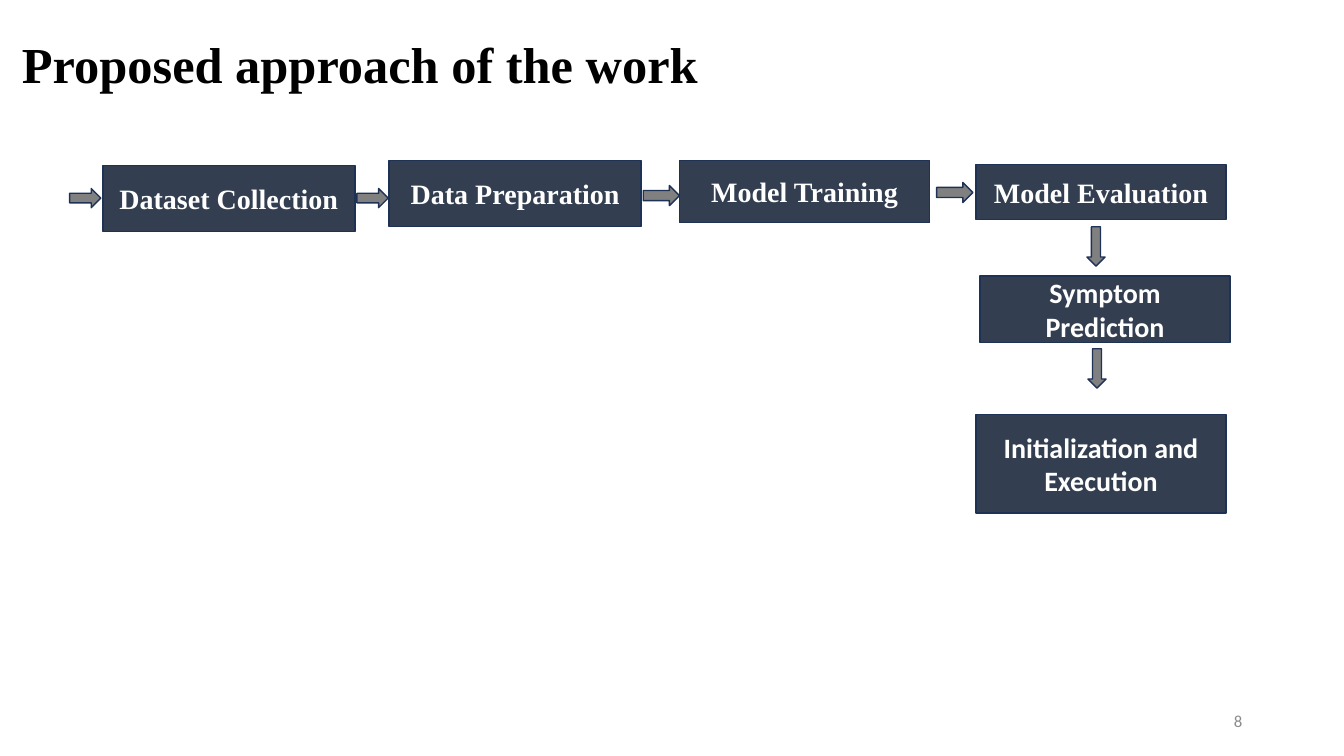
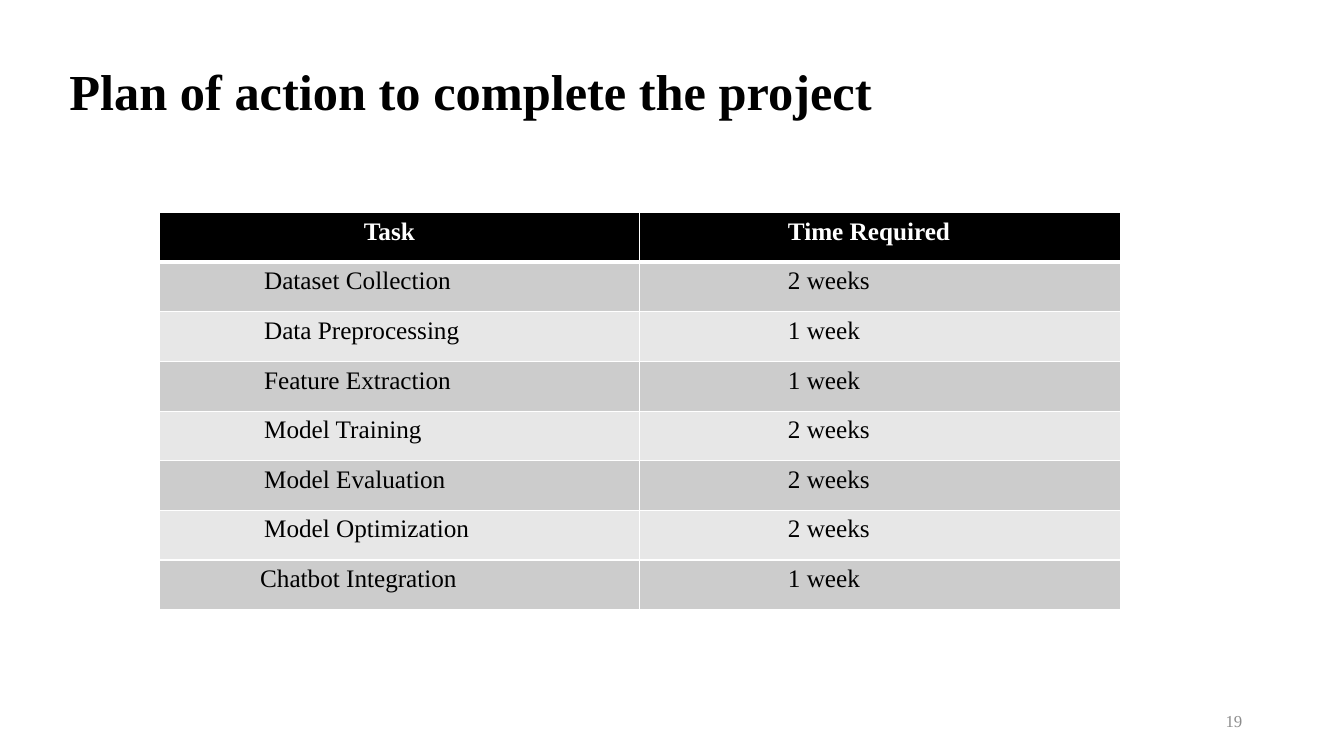
from dataclasses import dataclass

from lxml import etree
from pptx import Presentation
from pptx import util as u
from pptx.dml.color import RGBColor
from pptx.enum import shapes, text
from pptx.oxml import ns


@dataclass(frozen=True)
class Theme:
    black: RGBColor = RGBColor.from_string("000000")
    white: RGBColor = RGBColor.from_string("FFFFFF")
    box: RGBColor = RGBColor.from_string("333F50")
    outline: RGBColor = RGBColor.from_string("1E3256")
    arrow: RGBColor = RGBColor.from_string("808080")
    number: RGBColor = RGBColor.from_string("8C8C8C")
    dark_band: RGBColor = RGBColor.from_string("CCCCCC")
    light_band: RGBColor = RGBColor.from_string("E7E7E7")
    serif: str = "Times New Roman"
    sans: str = "Calibri"
    title_size: int = 36
    box_size: int = 20
    table_size: int = 18
    number_size: int = 12


theme = Theme()
PX = 9144


def write(frame, words, font, size, color, bold=False, align=text.PP_ALIGN.LEFT):
    frame.word_wrap = True
    frame.vertical_anchor = text.MSO_ANCHOR.MIDDLE
    paragraph = frame.paragraphs[0]
    paragraph.text = words
    paragraph.alignment = align
    paragraph.font.name = font
    paragraph.font.size = u.Pt(size)
    paragraph.font.bold = bold
    paragraph.font.color.rgb = color
    return paragraph


def add_block(slide, kind, bounds, fill):
    shape = slide.shapes.add_shape(kind, *(length * PX for length in bounds))
    shape.shadow.inherit = False
    shape.fill.solid()
    shape.fill.fore_color.rgb = fill
    shape.line.color.rgb = theme.outline
    shape.line.width = u.Pt(1)
    return shape


presentation = Presentation()
presentation.slide_width = 1333 * PX
presentation.slide_height = 750 * PX

pages = [
    ("Proposed approach of the work", 12, 2, "8", theme.sans),
    ("Plan of action to complete the project", 59, 28, "19", theme.serif),
]
slides = []
for title, left, top, number, number_font in pages:
    slide = presentation.slides.add_slide(presentation.slide_layouts[6])
    title_box = slide.shapes.add_textbox(left * PX, top * PX, 1150 * PX, 130 * PX)
    paragraph = write(title_box.text_frame, title, theme.serif, theme.title_size, theme.black, True)
    paragraph.line_spacing = 0.9
    number_box = slide.shapes.add_textbox(942 * PX, 695 * PX, 300 * PX, 40 * PX)
    write(number_box.text_frame, number, number_font, theme.number_size, theme.number,
          align=text.PP_ALIGN.RIGHT)
    slides.append(slide)
flow_slide, plan_slide = slides

steps = [
    ("Dataset Collection", (102, 164, 250, 66), theme.serif),
    ("Data Preparation", (386, 159, 250, 66), theme.serif),
    ("Model Training", (674, 159, 248, 62), theme.serif),
    ("Model Evaluation", (968, 163, 248, 55), theme.serif),
    ("Symptom Prediction", (972, 274, 248, 66), theme.sans),
    ("Initialization and Execution", (968, 411, 248, 98), theme.sans),
]
for words, bounds, font in steps:
    step = add_block(flow_slide, shapes.MSO_SHAPE.RECTANGLE, bounds, theme.box)
    write(step.text_frame, words, font, theme.box_size, theme.white, True, text.PP_ALIGN.CENTER)

right, down = shapes.MSO_SHAPE.RIGHT_ARROW, shapes.MSO_SHAPE.DOWN_ARROW
arrows = [
    (right, (69, 187, 31, 19)),
    (right, (354, 187, 31, 19)),
    (right, (638, 184, 36, 20)),
    (right, (929, 181, 36, 20)),
    (down, (1078, 225, 18, 39)),
    (down, (1079, 346, 18, 39)),
]
for kind, bounds in arrows:
    add_block(flow_slide, kind, bounds, theme.arrow)

plan = [
    ("Task", "Time Required"),
    ("Dataset Collection", "2 weeks"),
    ("Data Preprocessing", "1 week"),
    ("Feature Extraction", "1 week"),
    ("Model Training", "2 weeks"),
    ("Model Evaluation", "2 weeks"),
    ("Model Optimization", "2 weeks"),
    ("Chatbot Integration", "1 week"),
]
task_indent, time_indent = 104, 147
special_indents = {"Task": 203, "Chatbot Integration": 100}
table = plan_slide.shapes.add_table(
    len(plan), 2, 158 * PX, 211 * PX, 953 * PX, 394 * PX).table
for row, entries in enumerate(plan):
    header = row == 0
    band = theme.dark_band if row % 2 else theme.light_band
    for column, words in enumerate(entries):
        cell = table.cell(row, column)
        cell.fill.solid()
        cell.fill.fore_color.rgb = theme.black if header else band
        write(cell.text_frame, words, theme.serif, theme.table_size,
              theme.white if header else theme.black, header)
        cell.vertical_anchor = text.MSO_ANCHOR.TOP
        indent = time_indent if column else task_indent
        cell.margin_left = special_indents.get(words, indent) * PX
        widths = {"lnL": 1, "lnR": 1, "lnT": 3 if row == 1 else 1, "lnB": 3 if header else 1}
        properties = cell._tc.get_or_add_tcPr()
        for position, (side, width) in enumerate(widths.items()):
            border = etree.Element(ns.qn("a:" + side), w=str(u.Pt(width)))
            fill = etree.SubElement(border, ns.qn("a:solidFill"))
            etree.SubElement(fill, ns.qn("a:srgbClr"), val=str(theme.white))
            properties.insert(position, border)

presentation.save("out.pptx")
